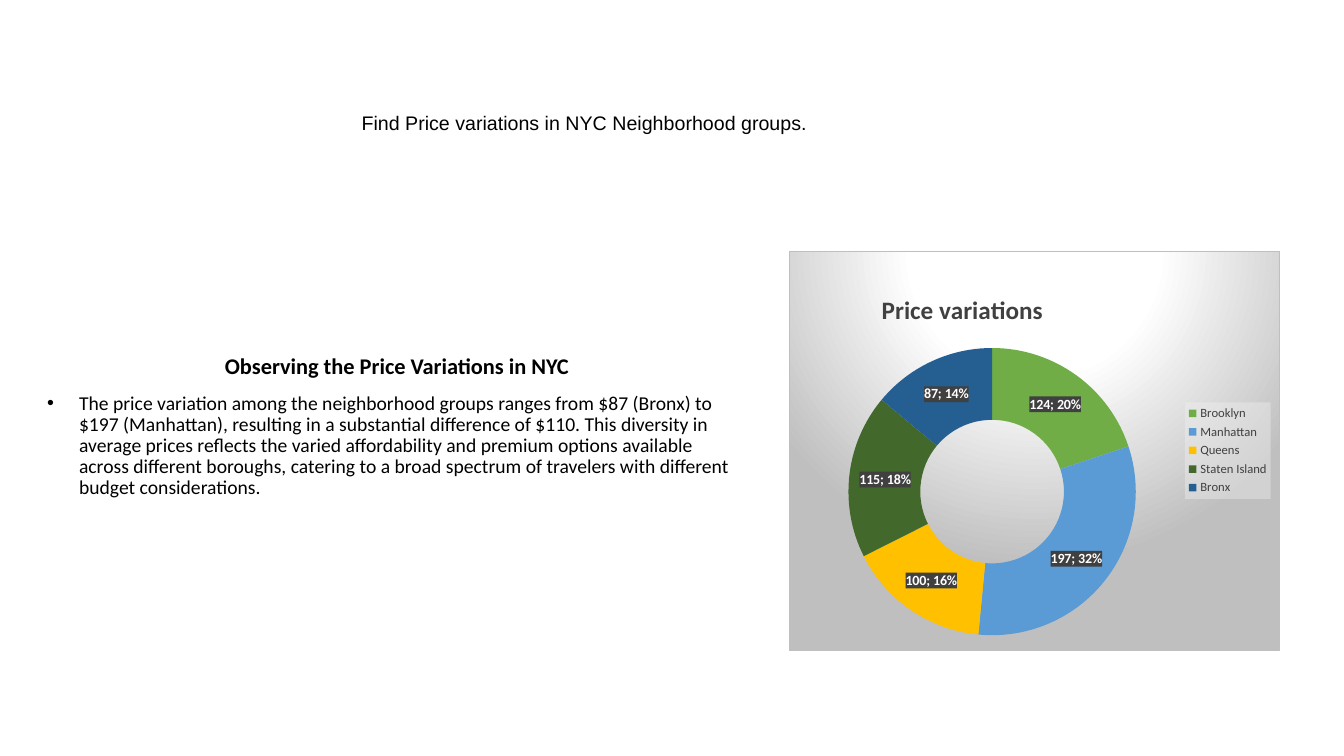
from dataclasses import dataclass

from lxml import etree
from pptx import Presentation
from pptx.chart.data import CategoryChartData
from pptx.dml.color import RGBColor
from pptx.enum.chart import XL_CHART_TYPE, XL_LEGEND_POSITION
from pptx.enum.text import MSO_ANCHOR, MSO_AUTO_SIZE, PP_ALIGN
from pptx.oxml import parse_xml
from pptx.oxml.ns import nsdecls, qn
from pptx.util import Emu, Pt

DOUGHNUT = XL_CHART_TYPE.DOUGHNUT
LEGEND_RIGHT = XL_LEGEND_POSITION.RIGHT
CENTER, LEFT = PP_ALIGN.CENTER, PP_ALIGN.LEFT
TOP, MIDDLE = MSO_ANCHOR.TOP, MSO_ANCHOR.MIDDLE
NO_AUTOFIT = MSO_AUTO_SIZE.NONE
PX_PER_INCH = 100.8


@dataclass(frozen=True)
class Theme:
    """Colours, fonts and type sizes of the slide."""
    ink: str = "000000"
    paper: str = "FFFFFF"
    grey: str = "404040"
    silver: str = "BFBFBF"
    mist: str = "F2F2F2"
    body_font: str = "Calibri"
    question_font: str = "Arial"
    chart_title: int = 18
    heading: int = 16
    body: int = 14
    label: int = 10
    legend: int = 9


THEME = Theme()
BOROUGHS = [
    ("Brooklyn", 124, "70AD47"),
    ("Manhattan", 197, "5B9BD5"),
    ("Queens", 100, "FFC000"),
    ("Staten Island", 115, "43682B"),
    ("Bronx", 87, "255E91"),
]
FINDING = (
    "The price variation among the neighborhood groups ranges from $87 (Bronx) to $197 "
    "(Manhattan), resulting in a substantial difference of $110. This diversity in average "
    "prices reflects the varied affordability and premium options available across different "
    "boroughs, catering to a broad spectrum of travelers with different budget considerations."
)


def px(length):
    """Turn a length in px into EMU."""
    return Emu(round(length * 914400 / PX_PER_INCH))


def style_font(font, size, color, bold=False, name=THEME.body_font):
    """Set the face, size, weight and colour of a font."""
    font.name, font.size, font.bold = name, Pt(size), bold
    font.color.rgb = RGBColor.from_string(color)


def solid_fill(color, opacity=100):
    """Return the markup of a solid fill."""
    return (f'<a:solidFill><a:srgbClr val="{color}"><a:alpha val="{opacity * 1000}"/>'
            '</a:srgbClr></a:solidFill>')


def chart_format(content):
    """Return a chart shape-properties element."""
    return parse_xml(f'<c:spPr {nsdecls("c", "a")}>{content}</c:spPr>')


def place_in_chart(element, index, chart_box, part_box, inner=False):
    """Fix a chart part at part_box, given in px within the chart."""
    for old in element.findall(qn("c:layout")):
        element.remove(old)
    x, y, width, height = part_box
    parts = {"x": x / chart_box[2], "y": y / chart_box[3]}
    if width:
        parts.update(w=width / chart_box[2], h=height / chart_box[3])
    target = '<c:layoutTarget val="inner"/>' if inner else ""
    modes = '<c:xMode val="edge"/><c:yMode val="edge"/>'
    values = "".join(f'<c:{key} val="{part:.3f}"/>' for key, part in parts.items())
    element.insert(index, parse_xml(
        f'<c:layout {nsdecls("c")}><c:manualLayout>{target}{modes}{values}'
        '</c:manualLayout></c:layout>'))


def add_question(page, box):
    """Add the one-cell table that states the question."""
    table = page.shapes.add_table(1, 1, *map(px, box)).table
    table.first_row = table.horz_banding = False
    cell = table.cell(0, 0)
    cell.text = "Find Price variations in NYC Neighborhood groups."
    cell.vertical_anchor = MIDDLE
    cell.margin_left = cell.margin_right = cell.margin_top = px(1)
    cell.margin_bottom = 0
    para = cell.text_frame.paragraphs[0]
    para.alignment = CENTER
    style_font(para.runs[0].font, THEME.body, THEME.ink, name=THEME.question_font)
    cell.fill.background()
    properties = cell._tc.get_or_add_tcPr()
    for index, side in enumerate(("lnL", "lnR", "lnT", "lnB")):
        properties.insert(index, parse_xml(
            f'<a:{side} {nsdecls("a")} w="12700">{solid_fill(THEME.paper)}</a:{side}>'))


def add_finding(page, box):
    """Fill the subtitle placeholder with the heading and its bullet."""
    holder = page.placeholders[1]
    holder.left, holder.top, holder.width, holder.height = map(px, box)
    frame = holder.text_frame
    frame.text = "Observing the Price Variations in NYC\n" + FINDING
    frame.auto_size, frame.vertical_anchor = NO_AUTOFIT, TOP
    heading, bullet = frame.paragraphs
    for para, size, bold, alignment in ((heading, THEME.heading, True, CENTER),
                                        (bullet, THEME.body, False, LEFT)):
        para.alignment, para.line_spacing, para.space_before = alignment, 0.9, Pt(10)
        style_font(para.runs[0].font, size, THEME.ink, bold)
    properties = bullet._p.get_or_add_pPr()
    properties.set("marL", str(px(32)))
    properties.set("indent", str(px(-32)))
    etree.SubElement(properties, qn("a:buFont")).set("typeface", "Arial")
    etree.SubElement(properties, qn("a:buChar")).set("char", "•")


def add_price_chart(page, box):
    """Add the doughnut of prices with its title, labels and legend."""
    names, prices, colors = zip(*BOROUGHS)
    data = CategoryChartData()
    data.categories = names
    data.add_series("Series 1", prices)
    chart = page.shapes.add_chart(DOUGHNUT, *map(px, box), data).chart
    style_font(chart.font, THEME.label, THEME.ink)
    chart._chartSpace.find(qn("c:chart")).addnext(chart_format(
        '<a:gradFill><a:gsLst>'
        + "".join(f'<a:gs pos="{stop}000"><a:srgbClr val="{color}"/></a:gs>'
                  for stop, color in ((0, THEME.paper), (39, THEME.paper), (100, THEME.silver)))
        + '</a:gsLst><a:path path="circle"><a:fillToRect l="50000" t="-80000" r="50000" '
        f'b="180000"/></a:path></a:gradFill><a:ln w="9525">{solid_fill(THEME.silver)}</a:ln>'))
    chart.has_title = True
    title = chart.chart_title
    title.text_frame.text = "Price variations"
    style_font(title.text_frame.paragraphs[0].runs[0].font, THEME.chart_title, THEME.grey, True)
    place_in_chart(title._element, 1, box, (88, 36, 0, 0))
    place_in_chart(chart._chartSpace.chart.plotArea, 0, box, (59, 97, 288, 288), inner=True)
    add_legend(chart, box)
    chart.plots[0].vary_by_categories = True
    series = chart.plots[0].series[0]
    for index, color in enumerate(colors):
        fill = series.points[index].format.fill
        fill.solid()
        fill.fore_color.rgb = RGBColor.from_string(color)
    add_labels(series)


def add_legend(chart, box):
    """Put the legend on a pale panel at the right of the chart."""
    chart.has_legend = True
    legend = chart.legend
    legend.position, legend.include_in_layout = LEGEND_RIGHT, False
    style_font(legend.font, THEME.legend, THEME.grey)
    place_in_chart(legend._element, 1, box, (396, 151, 86, 97))
    legend._element.find(qn("c:txPr")).addprevious(chart_format(solid_fill(THEME.mist, 39)))


def add_labels(series):
    """Label each ring segment with its price and share."""
    labels = series.data_labels
    labels.show_value = labels.show_percentage = True
    style_font(labels.font, THEME.label, THEME.paper, True)
    element = labels._element
    element.find(qn("c:txPr")).addprevious(chart_format(solid_fill(THEME.grey, 90)))
    separator = parse_xml(f'<c:separator {nsdecls("c")}>; </c:separator>')
    element.find(qn("c:showBubbleSize")).addnext(separator)


def main():
    """Build the slide and save the deck."""
    deck = Presentation()
    deck.slide_width, deck.slide_height = px(1344), px(756)
    page = deck.slides.add_slide(deck.slide_layouts[0])
    unused_title = page.shapes.title._element
    unused_title.getparent().remove(unused_title)
    add_finding(page, (37, 350, 720, 177))
    add_question(page, (170, 97, 829, 52))
    add_price_chart(page, (789, 251, 491, 400))
    deck.save("out.pptx")


if __name__ == "__main__":
    main()
